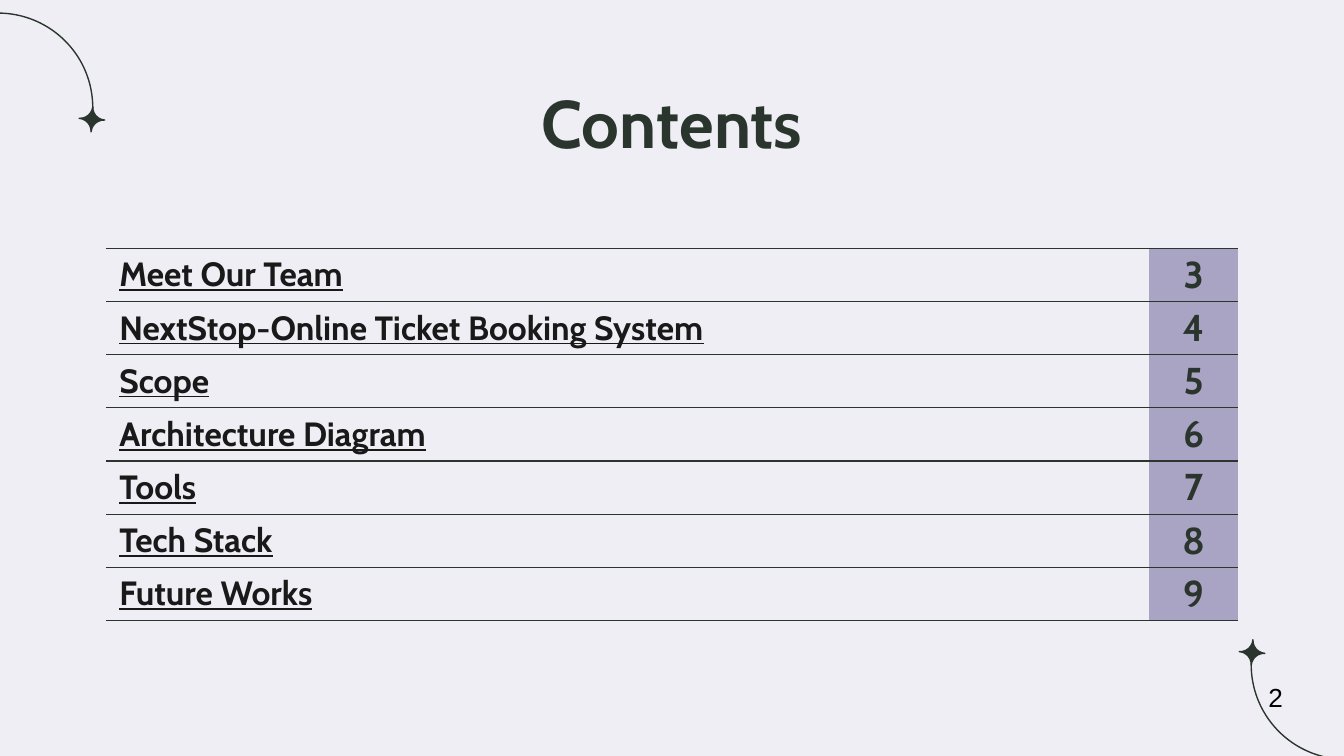
from lxml import etree
from pptx import Presentation
from pptx.dml.color import RGBColor
from pptx.enum import shapes, text
from pptx.oxml import ns
from pptx.util import Pt

BACKGROUND = RGBColor(0xEF, 0xEE, 0xF4)
GREEN = RGBColor(0x2A, 0x36, 0x2D)
INK = RGBColor(0x19, 0x19, 0x19)
LILAC = RGBColor(0xAA, 0xA4, 0xC4)
BLACK = RGBColor(0, 0, 0)

FIRST_PAGE = 3
TOPICS = [
    "Meet Our Team",
    "NextStop-Online Ticket Booking System",
    "Scope",
    "Architecture Diagram",
    "Tools",
    "Tech Stack",
    "Future Works",
]


def write(text_frame, content, size, color, font="Cabin", bold=True,
          underline=False, align=text.PP_ALIGN.LEFT):
    """Set one formatted paragraph in a text frame."""
    text_frame.text = content
    paragraph = text_frame.paragraphs[0]
    paragraph.alignment = align
    run_font = paragraph.runs[0].font
    run_font.name, run_font.size = font, Pt(size)
    run_font.bold, run_font.underline = bold, underline
    run_font.color.rgb = color


def set_borders(cell):
    """Rule a cell above and below and leave its sides open."""
    properties = cell._tc.get_or_add_tcPr()
    for index, side in enumerate(("lnL", "lnR", "lnT", "lnB")):
        line = etree.Element(ns.qn(f"a:{side}"), w=str(Pt(0.75)))
        if side in ("lnT", "lnB"):
            fill = etree.SubElement(line, ns.qn("a:solidFill"))
            etree.SubElement(fill, ns.qn("a:srgbClr"), val=str(GREEN))
        else:
            etree.SubElement(line, ns.qn("a:noFill"))
        properties.insert(index, line)


def add_outlined(slide, kind, left, top, size, rotation, adjustments):
    """Add a square green-lined shape."""
    shape = slide.shapes.add_shape(kind, Pt(left), Pt(top), Pt(size), Pt(size))
    shape.shadow.inherit = False
    shape.rotation = rotation
    shape.line.color.rgb = GREEN
    shape.line.width = Pt(0.75)
    for index, value in enumerate(adjustments):
        shape.adjustments[index] = value
    return shape


def add_ornament(slide, left, top, size, star_left, star_top, rotation):
    """Add a quarter arc with a star, the star placed relative to the arc."""
    arc = add_outlined(slide, shapes.MSO_SHAPE.ARC, left, top, size,
                       rotation, (162, 0.4))
    arc.fill.background()
    star = add_outlined(slide, shapes.MSO_SHAPE.PLAQUE, left + star_left,
                        top + star_top, 13.7, rotation + 3.9, (0.5,))
    star.fill.solid()
    star.fill.fore_color.rgb = GREEN


def add_title(slide, left, top, width, height):
    """Place the slide title in its box."""
    title = slide.shapes.title
    title.left, title.top = Pt(left), Pt(top)
    title.width, title.height = Pt(width), Pt(height)
    write(title.text_frame, "Contents", 36, GREEN,
          align=text.PP_ALIGN.CENTER)
    title.text_frame.vertical_anchor = text.MSO_ANCHOR.MIDDLE


def add_contents(slide, left, top, width, height):
    """Add the table of topics and page numbers."""
    table = slide.shapes.add_table(len(TOPICS), 2, Pt(left), Pt(top),
                                   Pt(width), Pt(height)).table
    table.first_row = table.horz_banding = False
    page_width = 47.7
    table.columns[0].width = Pt(width - page_width)
    table.columns[1].width = Pt(page_width)
    for index, topic in enumerate(TOPICS):
        topic_cell, page_cell = table.rows[index].cells
        write(topic_cell.text_frame, topic, 18, INK, underline=True)
        write(page_cell.text_frame, str(FIRST_PAGE + index), 20, GREEN,
              align=text.PP_ALIGN.CENTER)
        topic_cell.fill.background()
        page_cell.fill.solid()
        page_cell.fill.fore_color.rgb = LILAC
        for cell in (topic_cell, page_cell):
            cell.vertical_anchor = text.MSO_ANCHOR.MIDDLE
            cell.margin_left = cell.margin_right = Pt(7.2)
            cell.margin_top = cell.margin_bottom = 0
            set_borders(cell)


def add_page_number(slide, left, top, width, height):
    """Add the slide's own number."""
    box = slide.shapes.add_textbox(Pt(left), Pt(top), Pt(width), Pt(height))
    box.text_frame.word_wrap = True
    write(box.text_frame, "2", 14, BLACK, font="Arial", bold=False)


def build_contents_slide(presentation):
    """Build the contents slide."""
    slide = presentation.slides.add_slide(presentation.slide_layouts[5])
    slide.background.fill.solid()
    slide.background.fill.fore_color.rgb = BACKGROUND
    add_ornament(slide, -51.8, 7, 101.5, 94.2, 50, 0)
    add_ornament(slide, 670.3, 305.3, 101.5, -6.4, 37.4, 180)
    add_title(slide, 56.7, 42.5, 606.6, 45)
    add_contents(slide, 56.7, 133, 606.6, 199.5)
    add_page_number(slide, 672.5, 361.4, 24.5, 24.3)


def main():
    """Create and save the presentation."""
    presentation = Presentation()
    presentation.slide_width = Pt(720)
    presentation.slide_height = Pt(405)
    build_contents_slide(presentation)
    presentation.save("out.pptx")


if __name__ == "__main__":
    main()
